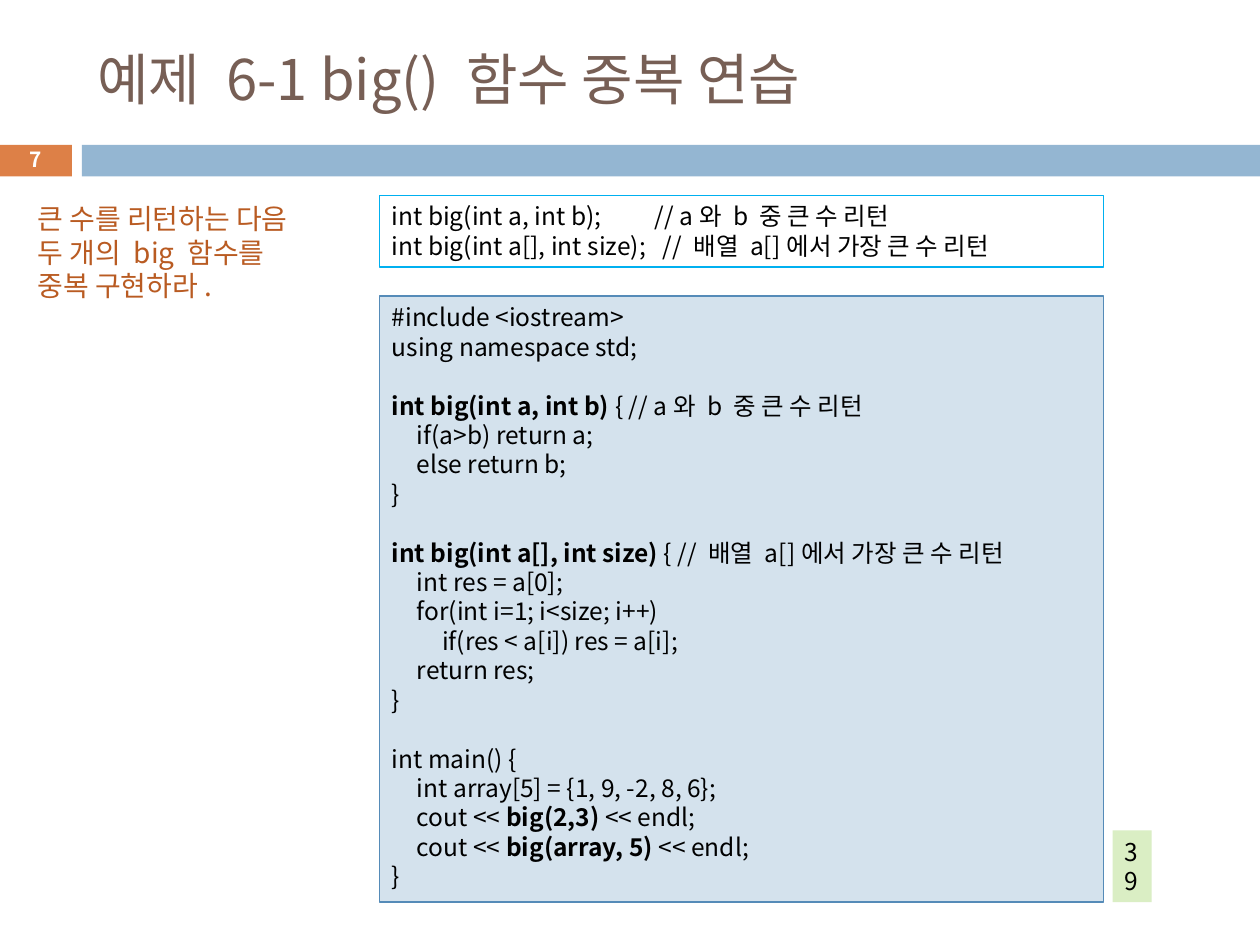
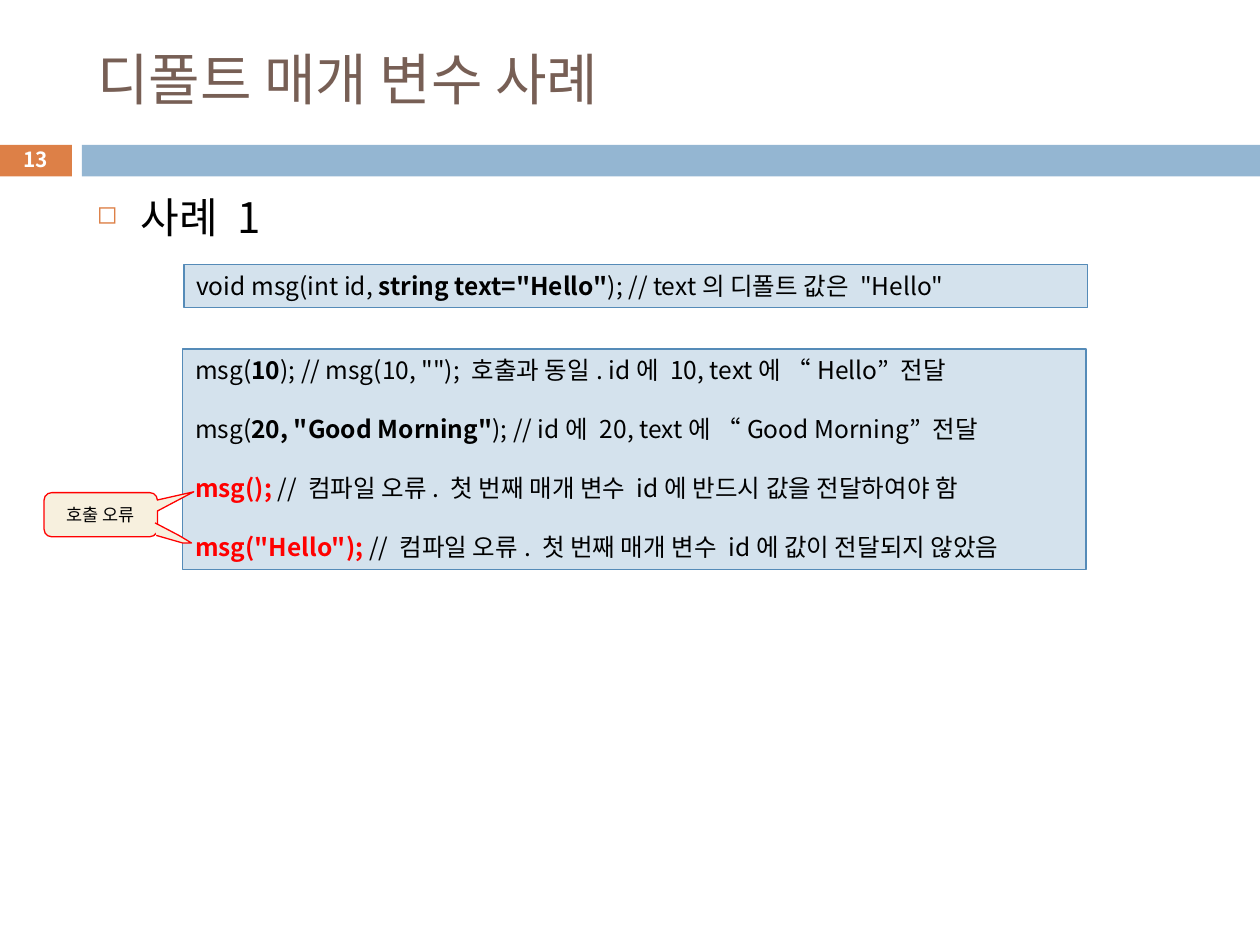
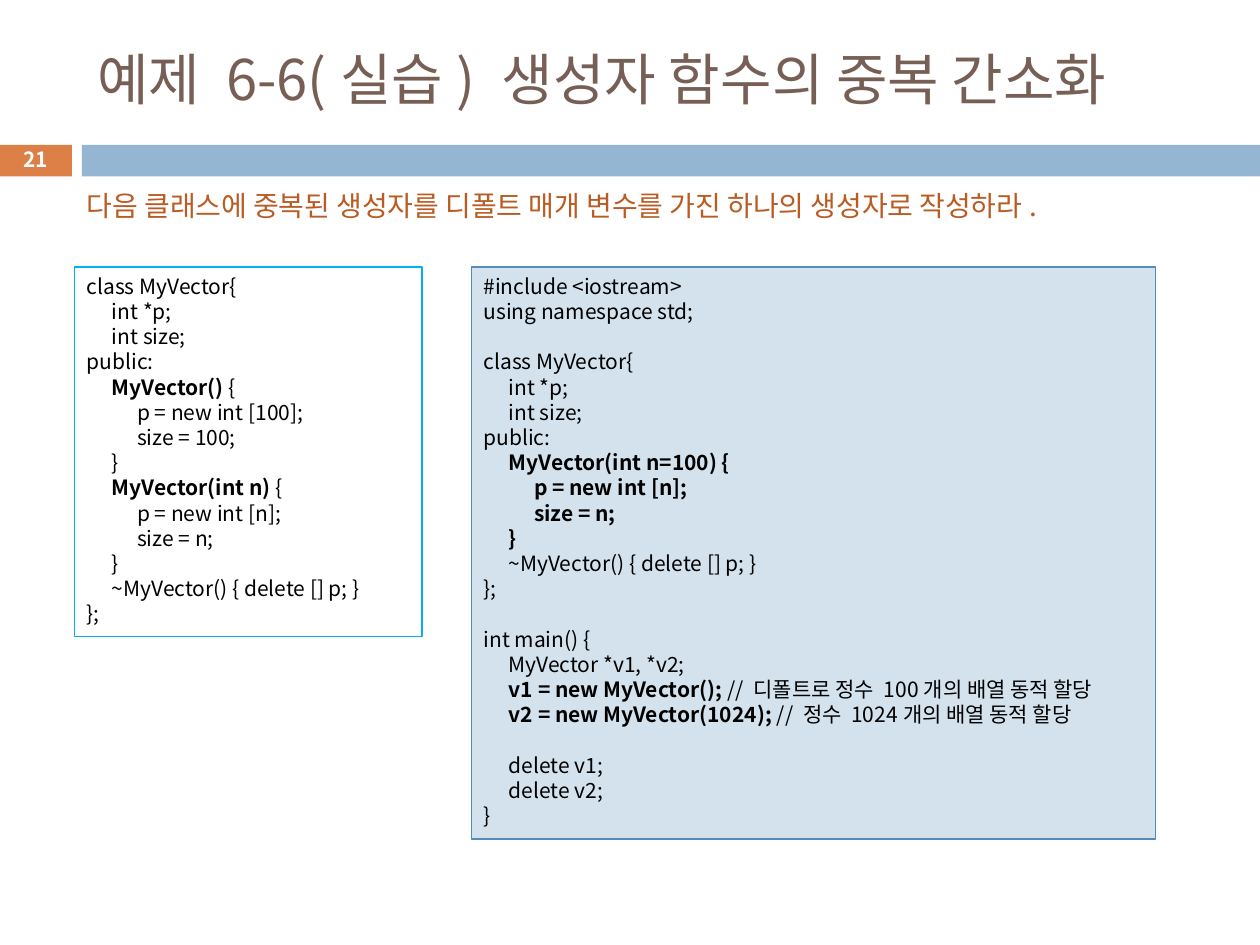
"""Build three lecture slides on C++ function overloading and default parameters."""
from lxml.etree import SubElement
from pptx import Presentation
from pptx.dml.color import RGBColor
from pptx.enum.shapes import MSO_SHAPE
from pptx.enum.text import MSO_ANCHOR, MSO_AUTO_SIZE, PP_ALIGN
from pptx.oxml.ns import qn
from pptx.util import Inches, Pt

FONT = "Noto Sans CJK KR"
COLORS = {
    "title": "775F55", "accent": "DD8047", "band": "94B6D2", "task": "B95B22",
    "code": "D4E2ED", "code_edge": "558BB8", "given_edge": "00B0F0",
    "output": "DAEEC4", "callout": "F7F0DE", "error": "FF0000",
    "text": "000000", "white": "FFFFFF",
}


def write(frame, text, size, color="text", align=PP_ALIGN.LEFT, anchor=MSO_ANCHOR.TOP, tabs=()):
    """Fill a text frame line by line, with **bold** parts and tab stops in inches."""
    frame.auto_size = MSO_AUTO_SIZE.NONE
    frame.word_wrap = True
    frame.vertical_anchor = anchor
    frame.text = "\n".join(text.splitlines())
    for paragraph, line in zip(frame.paragraphs, text.splitlines()):
        paragraph.alignment = align
        if tabs:
            tab_list = SubElement(paragraph._p.get_or_add_pPr(), qn("a:tabLst"))
            for stop in tabs:
                SubElement(tab_list, qn("a:tab"), pos=str(Inches(stop)), algn="l")
        paragraph.text = ""
        for index, part in enumerate(line.split("**")):
            if part:
                run = paragraph.add_run()
                run.text = part
                run.font.size = Pt(size)
                run.font.bold = index % 2 == 1
                run.font.name = FONT
                run.font.color.rgb = RGBColor.from_string(COLORS[color])
                SubElement(run.font._element, qn("a:ea"), typeface=FONT)
        if not line:
            SubElement(paragraph._p, qn("a:endParaRPr"), sz=str(size * 100))


def paint(shape, fill=None, edge=None):
    """Give a shape its fill and outline, without a shadow."""
    shape.shadow.inherit = False
    if fill:
        shape.fill.solid()
        shape.fill.fore_color.rgb = RGBColor.from_string(COLORS[fill])
    else:
        shape.fill.background()
    if edge:
        shape.line.color.rgb = RGBColor.from_string(COLORS[edge])
        shape.line.width = Pt(0.75)
    else:
        shape.line.fill.background()


BIG_GIVEN = """int big(int a, int b);\t  // a와 b 중 큰 수 리턴
int big(int a[], int size);   // 배열 a[]에서 가장 큰 수 리턴"""

BIG_SOLUTION = """#include <iostream>
using namespace std;

**int big(int a, int b) **{ // a와 b 중 큰 수 리턴
    if(a>b) return a;
    else return b;
}

**int big(int a[], int size) **{ // 배열 a[]에서 가장 큰 수 리턴
    int res = a[0];
    for(int i=1; i<size; i++)
        if(res < a[i]) res = a[i];
    return res;
}

int main() {
    int array[5] = {1, 9, -2, 8, 6};
    cout << **big(2,3) **<< endl;
    cout << **big(array, 5) **<< endl;
}"""

MSG_DECLARATION = 'void msg(int id, **string text="Hello"**); // text의 디폴트 값은 "Hello"'

MSG_CALLS = """msg(**10**); // msg(10, ""); 호출과 동일. id에 10, text에 “Hello” 전달
msg(**20, "Good Morning"**); // id에 20, text에 “Good Morning” 전달
**msg(); **// 컴파일 오류. 첫 번째 매개 변수 id에 반드시 값을 전달하여야 함
**msg("Hello"); **// 컴파일 오류. 첫 번째 매개 변수 id에 값이 전달되지 않았음"""

VECTOR_GIVEN = """class MyVector{
    int *p;
    int size;
public:
    **MyVector() **{
        p = new int [100];
        size = 100;
    }
    **MyVector(int n) **{
        p = new int [n];
        size = n;
    }
    ~MyVector() { delete [] p; }
};"""

VECTOR_SOLUTION = """#include <iostream>
using namespace std;

class MyVector{
    int *p;
    int size;
public:
    **MyVector(int n=100) {**
        **p = new int [n];**
        **size = n;**
    }
    ~MyVector() { delete [] p; }
};

int main() {
    MyVector *v1, *v2;
    **v1 = new MyVector(); **// 디폴트로 정수 100개의 배열 동적 할당
    **v2 = new MyVector(1024); **// 정수 1024개의 배열 동적 할당

    delete v1;
    delete v2;
}""".replace("    }\n    ~", "    **}**\n    ~")

INDENTS = (0.2, 0.4)
PAGES = [
    {
        "title": "예제 6-1 big() 함수 중복 연습", "number": "7",
        "task": ("큰 수를 리턴하는 다음\n두 개의 big 함수를\n중복 구현하라.", 0.2, 1.55, 2.52, 0.91),
        "listings": [
            (BIG_GIVEN, 14, None, "given_edge", (2,), 3.01, 1.55, 5.75, 0.57),
            (BIG_SOLUTION, 14, "code", "code_edge", INDENTS, 3.01, 2.35, 5.75, 4.81),
            ("3\n9", 14, "output", None, (), 8.83, 6.59, 0.31, 0.57),
        ],
    },
    {
        "title": "디폴트 매개 변수 사례", "number": "13",
        "listings": [
            (MSG_DECLARATION, 14, "code", "code_edge", (), 1.46, 2.1, 7.17, 0.34),
            (MSG_CALLS, 14, "code", "code_edge", (), 1.45, 2.77, 7.17, 1.75),
        ],
    },
    {
        "title": "예제 6-6(실습) 생성자 함수의 중복 간소화", "number": "21",
        "task": ("다음 클래스에 중복된 생성자를 디폴트 매개 변수를 가진 하나의 생성자로 작성하라.",
                 0.59, 1.45, 8.58, 0.37),
        "listings": [
            (VECTOR_GIVEN, 12, None, "given_edge", INDENTS, 0.59, 2.12, 2.76, 2.93),
            (VECTOR_SOLUTION, 12, "code", "code_edge", INDENTS, 3.74, 2.12, 5.43, 4.54),
        ],
    },
]

prs = Presentation()
prs.slide_width, prs.slide_height = Inches(10), Inches(7.5)
slides = []
listings = []

for page in PAGES:
    slide = prs.slides.add_slide(prs.slide_layouts[5])
    slides.append(slide)

    title = slide.shapes.title
    title.left, title.top = Inches(0.67), Inches(0.25)
    title.width, title.height = Inches(8.92), Inches(0.74)
    write(title.text_frame, page["title"], 32, "title", anchor=MSO_ANCHOR.MIDDLE)

    for left, width, fill in ((-0.01, 0.58, "accent"), (0.65, 9.35, "band")):
        band = slide.shapes.add_shape(
            MSO_SHAPE.RECTANGLE, Inches(left), Inches(1.15), Inches(width), Inches(0.25))
        paint(band, fill)
    number = slide.shapes.add_textbox(Inches(-0.01), Inches(1.13), Inches(0.58), Inches(0.27))
    write(number.text_frame, f"**{page['number']}**", 11.9, "white",
          PP_ALIGN.CENTER, MSO_ANCHOR.MIDDLE)

    for code, size, fill, edge, tabs, *place in page["listings"]:
        listing = slide.shapes.add_shape(MSO_SHAPE.RECTANGLE, *map(Inches, place))
        paint(listing, fill, edge)
        write(listing.text_frame, code.replace("    ", "\t"), size, tabs=tabs)
        listings.append(listing)

    if "task" in page:
        instruction, *place = page["task"]
        task = slide.shapes.add_textbox(*map(Inches, place))
        write(task.text_frame, instruction, 16, "task")

calls = listings[4].text_frame.paragraphs
for call in calls[1:]:
    call.space_before = Pt(16.8)
for bad_call in calls[2:]:
    bad_call.runs[0].font.color.rgb = RGBColor.from_string(COLORS["error"])

case_slide = slides[1]
case = case_slide.shapes.add_textbox(Inches(0.67), Inches(1.47), Inches(8.92), Inches(5.51))
write(case.text_frame, "사례 1", 24)
bullet = case.text_frame.paragraphs[0]._p.get_or_add_pPr()
bullet.set("marL", str(Inches(0.35)))
bullet.set("indent", str(Inches(-0.35)))
SubElement(SubElement(bullet, qn("a:buClr")), qn("a:srgbClr"), val=COLORS["accent"])
SubElement(bullet, qn("a:buSzPct"), val="60000")
SubElement(bullet, qn("a:buChar"), char="◻")

callout = case_slide.shapes.add_shape(
    MSO_SHAPE.ROUNDED_RECTANGULAR_CALLOUT, Inches(0.35), Inches(3.91), Inches(0.9), Inches(0.35))
for index, value in enumerate((0.82, -0.52, 0.17)):
    callout.adjustments[index] = value
paint(callout, "callout", "error")
write(callout.text_frame, "호출 오류", 10, align=PP_ALIGN.CENTER, anchor=MSO_ANCHOR.MIDDLE)

outline = case_slide.shapes.build_freeform(Inches(1.23), Inches(4.15), scale=1.0)
outline.add_line_segments(
    [(Inches(x), Inches(y)) for x, y in ((1.42, 4.25), (1.52, 4.31), (1.45, 4.31), (1.24, 4.25))],
    close=False)
second_tail = outline.convert_to_shape()
paint(second_tail, "callout", "error")

prs.save("out.pptx")
